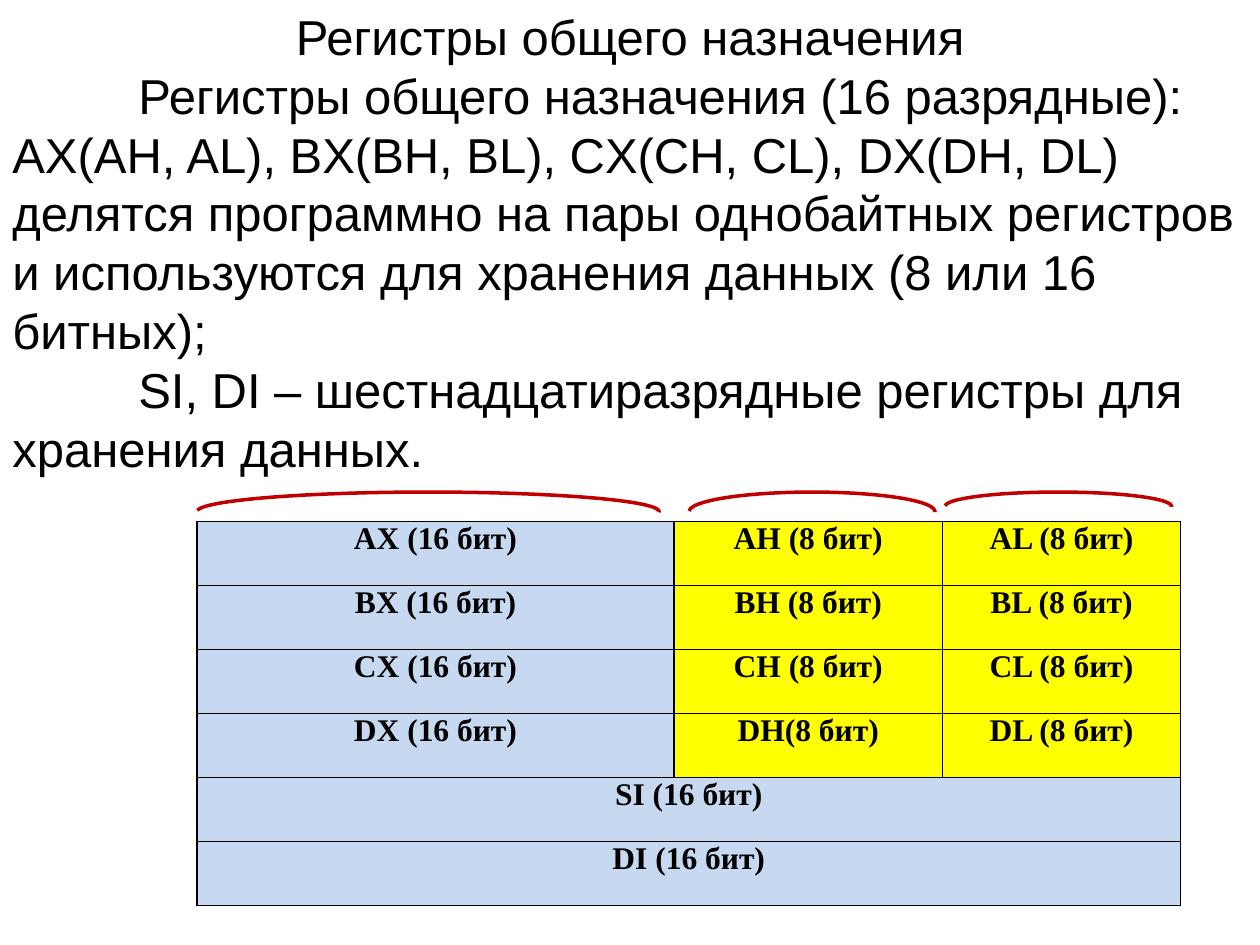
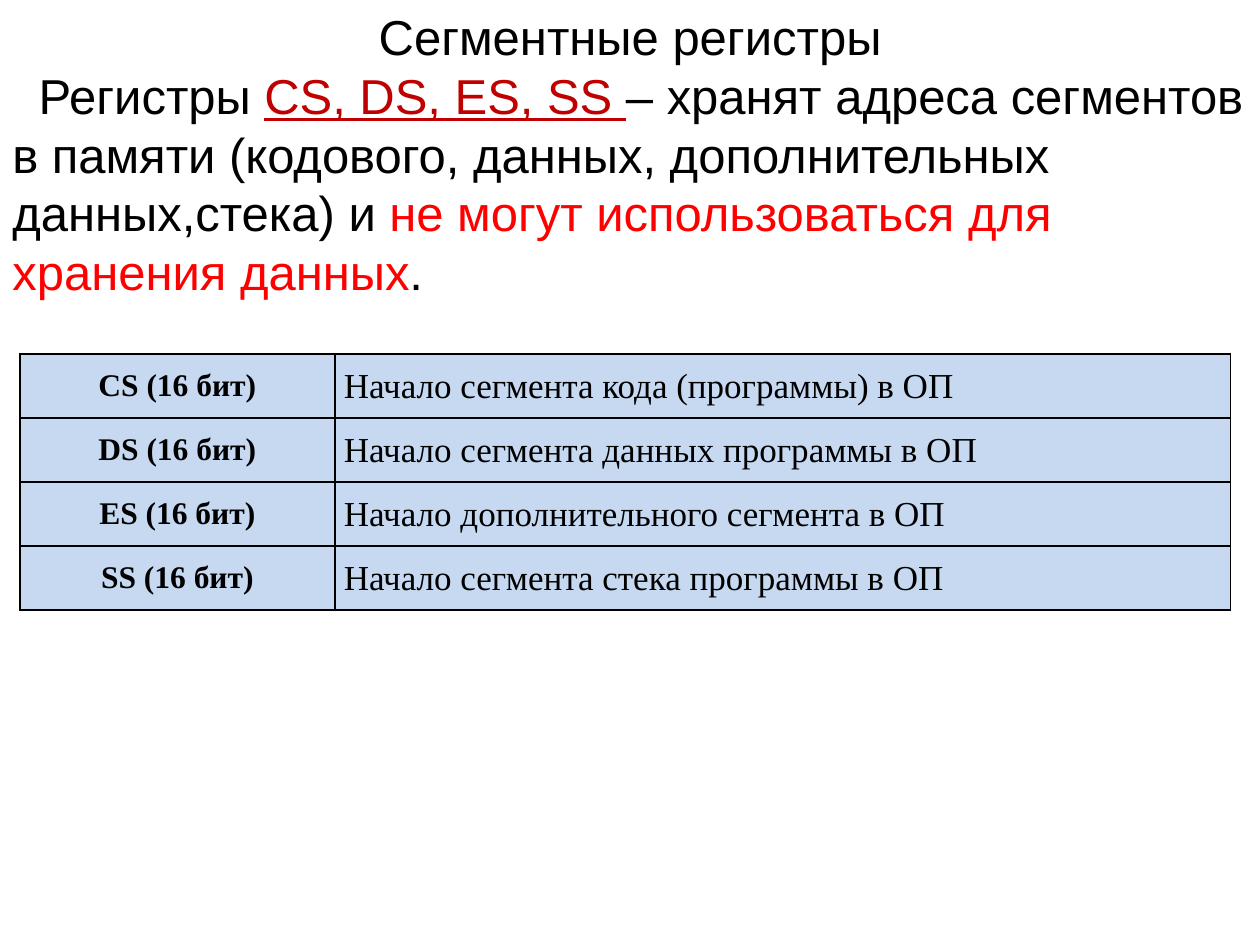
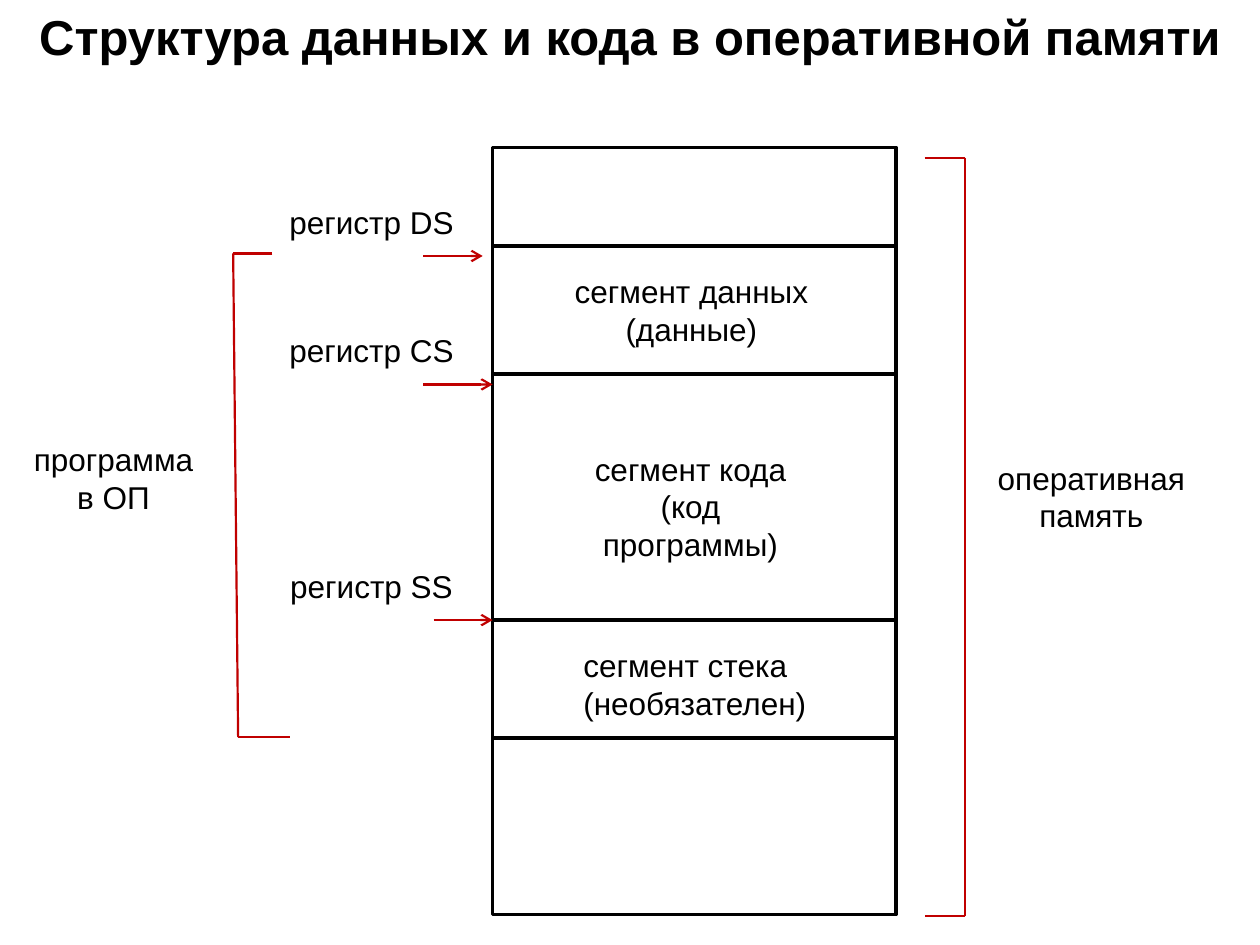
from itertools import pairwise

from lxml import etree
from pptx import Presentation
from pptx.dml.color import RGBColor
from pptx.enum.shapes import MSO_CONNECTOR, MSO_SHAPE
from pptx.enum.text import MSO_ANCHOR, MSO_AUTO_SIZE, PP_ALIGN
from pptx.oxml.ns import qn
from pptx.util import Cm, Pt

BLACK = RGBColor(0x00, 0x00, 0x00)
RED = RGBColor(0xFF, 0x00, 0x00)
DARK_RED = RGBColor(0xC0, 0x00, 0x00)
PALE_BLUE = RGBColor(0xC6, 0xD9, 0xF1)
YELLOW = RGBColor(0xFF, 0xFF, 0x00)

LEFT, CENTER = PP_ALIGN.LEFT, PP_ALIGN.CENTER
TOP, MIDDLE = MSO_ANCHOR.TOP, MSO_ANCHOR.MIDDLE
NO_FIT = MSO_AUTO_SIZE.NONE
STRAIGHT = MSO_CONNECTOR.STRAIGHT
RECTANGLE, ARC = MSO_SHAPE.RECTANGLE, MSO_SHAPE.ARC

PAGE_WIDTH, PAGE_HEIGHT = 25.4, 19.05
TITLE_HEIGHT, BODY_TOP = 1.45, 1.19
ROW_HEIGHT = 1.29
ARC_ANGLES = (108.19, 0.11)

HEADING = {"name": "Arial", "size": Pt(28), "bold": False}
BODY = {"name": "Arial", "size": Pt(28)}
LABEL = {"name": "Arial", "size": Pt(18)}
CELL_NAME = {"name": "Times New Roman", "size": Pt(18), "bold": True}
CELL_NOTE = {"name": "Times New Roman", "size": Pt(20), "bold": False}


def apply(target, values):
    """Set attributes of the target from a dict."""
    for name, value in values.items():
        setattr(target, name, value)


class Deck:
    """Holds the shared style and the current slide."""

    def __init__(self):
        """Start an empty deck of the wanted size."""
        self.deck = Presentation()
        self.deck.slide_width = Cm(PAGE_WIDTH)
        self.deck.slide_height = Cm(PAGE_HEIGHT)
        self.page = None

    def add_page(self, title, **changes):
        """Add a slide and format its title."""
        self.page = self.deck.slides.add_slide(self.deck.slide_layouts[5])
        box = self.page.shapes.title
        sizes = (0, 0, PAGE_WIDTH, TITLE_HEIGHT)
        apply(box, dict(zip(("left", "top", "width", "height"), map(Cm, sizes))))
        apply(box.text_frame, {"word_wrap": True, "auto_size": NO_FIT, "vertical_anchor": TOP})
        self.fill_para(box.text_frame.paragraphs[0], [(title, {})], HEADING | changes, CENTER)

    def fill_para(self, para, spans, style, align):
        """Fill a paragraph with formatted spans."""
        para.alignment = align
        for text, changes in spans:
            span = para.add_run()
            span.text = text
            values = style | changes
            span.font.color.rgb = values.pop("color", BLACK)
            apply(span.font, values)

    def text(self, place, paras, style=LABEL, align=CENTER, wrap=False):
        """Add a text box of (indent, spans) paragraphs."""
        box = self.page.shapes.add_textbox(*map(Cm, place))
        frame = box.text_frame
        apply(frame, {"word_wrap": wrap, "auto_size": NO_FIT})
        for number, (indent, spans) in enumerate(paras):
            para = frame.add_paragraph() if number else frame.paragraphs[0]
            self.fill_para(para, spans, style, align)
            if indent:
                para._p.get_or_add_pPr().set("indent", str(Cm(indent)))

    def body(self, height, paras):
        """Add the full-width text under the title."""
        self.text((0, BODY_TOP, PAGE_WIDTH, height), paras, BODY, LEFT, True)

    def label(self, place, *lines, align=CENTER):
        """Add a short caption with one paragraph per line."""
        self.text(place, [(0, [(line, {})]) for line in lines], align=align)

    def outline(self, kind, place, color, angles=()):
        """Add an unfilled preset shape."""
        shape = self.page.shapes.add_shape(kind, *map(Cm, place))
        shape.shadow.inherit = False
        shape.fill.background()
        shape.line.color.rgb = color
        shape.line.width = Pt(2)
        for number, angle in enumerate(angles):
            shape.adjustments[number] = angle

    def line(self, start, end, color=DARK_RED, width=1.25, arrow=False):
        """Add a straight line, with an arrowhead on request."""
        link = self.page.shapes.add_connector(STRAIGHT, *map(Cm, start + end))
        link.line.color.rgb = color
        link.line.width = Pt(width)
        properties = link.element.spPr
        if arrow:
            etree.SubElement(properties.find(qn("a:ln")), qn("a:tailEnd"), type="arrow")
        etree.SubElement(properties, qn("a:effectLst"))

    def bracket(self, *points):
        """Join points with lines."""
        for start, end in pairwise(points):
            self.line(start, end)

    def border(self, cell):
        """Give a cell thin black borders."""
        properties = cell._tc.get_or_add_tcPr()
        for side in ("a:lnL", "a:lnR", "a:lnT", "a:lnB"):
            edge = etree.SubElement(properties, qn(side), w=str(Pt(1)))
            fill = etree.SubElement(edge, qn("a:solidFill"))
            etree.SubElement(fill, qn("a:srgbClr"), val=str(BLACK))

    def table(self, left, top, widths, rows, columns, anchor):
        """Add a table; columns give (fill, style, align), short rows span the width."""
        frame = self.page.shapes.add_table(
            len(rows), len(widths), Cm(left), Cm(top), Cm(sum(widths)), Cm(ROW_HEIGHT * len(rows)))
        table = frame.table
        apply(table, {"first_row": False, "horz_banding": False})
        for column, width in zip(table.columns, widths):
            column.width = Cm(width)
        for y, texts in enumerate(rows):
            table.rows[y].height = Cm(ROW_HEIGHT)
            short = len(texts) < len(widths)
            for x, (fill, style, align) in enumerate(columns):
                cell = table.cell(y, x)
                apply(cell, {"margin_left": Cm(0.18), "margin_right": Cm(0.18),
                             "margin_top": 0, "margin_bottom": 0, "vertical_anchor": anchor})
                self.border(cell)
                cell.fill.solid()
                cell.fill.fore_color.rgb = columns[0][0] if short else fill
                if x < len(texts):
                    self.fill_para(cell.text_frame.paragraphs[0], [(texts[x], {})], style, align)
            if short:
                table.cell(y, 0).merge(table.cell(y, len(widths) - 1))


def general_registers(deck):
    """Build the slide on general-purpose registers."""
    deck.add_page("Регистры общего назначения")
    deck.body(8.64, [
        (2.54, [("Регистры общего назначения (16 разрядные):", {})]),
        (0, [("AX(AH, AL), BX(BH, BL), CX(CH, CL), DX(DH, DL) делятся программно на пары "
              "однобайтных регистров и используются для хранения данных (8 или 16 битных);", {})]),
        (2.54, [("SI, DI – шестнадцатиразрядные регистры для хранения данных.", {})]),
    ])
    rows = [
        ("AX (16 бит)", "AH (8 бит)", "AL (8 бит)"),
        ("BX (16 бит)", "BH (8 бит)", "BL (8 бит)"),
        ("CX (16 бит)", "CH (8 бит)", "CL (8 бит)"),
        ("DX (16 бит)", "DH(8 бит)", "DL (8 бит)"),
        ("SI (16 бит)",),
        ("DI (16 бит)",),
    ]
    columns = [(fill, CELL_NAME, CENTER) for fill in (PALE_BLUE, YELLOW, YELLOW)]
    deck.table(3.97, 10.51, (9.62, 5.41, 4.8), rows, columns, TOP)
    for left, width, height in ((3.97, 9.32, 0.79), (13.89, 4.96, 0.79), (19.05, 4.57, 0.58)):
        deck.outline(ARC, (left, 9.92, width, height), DARK_RED, ARC_ANGLES)


def segment_registers(deck):
    """Build the slide on segment registers."""
    deck.add_page("Сегментные регистры")
    deck.body(5.06, [(0.53, [
        ("Регистры ", {}),
        ("CS, DS, ES, SS ", {"color": DARK_RED, "underline": True}),
        ("– хранят адреса сегментов в памяти (кодового, данных, дополнительных "
         "данных,стека) и ", {}),
        ("не могут использоваться для хранения данных", {"color": RED}),
        (".", {}),
    ])])
    rows = [
        ("CS (16 бит)", "Начало сегмента кода (программы) в ОП"),
        ("DS (16 бит)", "Начало сегмента данных программы в ОП"),
        ("ES (16 бит)", "Начало дополнительного сегмента в ОП"),
        ("SS (16 бит)", "Начало сегмента стека программы в ОП"),
    ]
    columns = [(PALE_BLUE, CELL_NAME, CENTER), (PALE_BLUE, CELL_NOTE, LEFT)]
    deck.table(0.4, 7.14, (6.35, 18.06), rows, columns, MIDDLE)


def memory_layout(deck):
    """Build the slide with the memory diagram."""
    deck.add_page("Структура данных и кода в оперативной памяти", bold=True)
    left, right = 9.93, 18.06
    deck.outline(RECTANGLE, (left, 2.97, right - left, 15.47), BLACK)
    for y in (4.96, 7.54, 12.5, 14.88):
        deck.line((left, y), (right, y), BLACK, 2)
    deck.label((11.3, 5.36, 5.28, 1.8), "сегмент данных", "(данные)")
    deck.label((11.71, 8.94, 4.42, 2.57), "сегмент кода", "(код", "программы)")
    deck.label((11.51, 12.9, 5.05, 1.8), "сегмент стека", "(необязателен)", align=LEFT)
    deck.label((19.84, 9.12, 4.32, 1.8), "оперативная", "память")
    deck.label((0.41, 8.74, 3.76, 1.8), "программа", "в ОП")
    arrows = (("DS", 8.53, 9.73, 5.16), ("CS", 8.53, left, 7.75), ("SS", 8.74, left, 12.5))
    for register, start, end, y in arrows:
        deck.label((5.56, y - 1.2, 3.86, 1.02), f"регистр {register}")
        deck.line((start, y), (end, y), arrow=True)
    deck.bracket((18.64, 3.18), (19.46, 3.18), (19.46, 18.46), (18.64, 18.46))
    deck.bracket((5.49, 5.11), (4.7, 5.11), (4.8, 14.86), (5.84, 14.86))


def main():
    """Build and save the deck."""
    deck = Deck()
    general_registers(deck)
    segment_registers(deck)
    memory_layout(deck)
    deck.deck.save("out.pptx")


if __name__ == "__main__":
    main()
